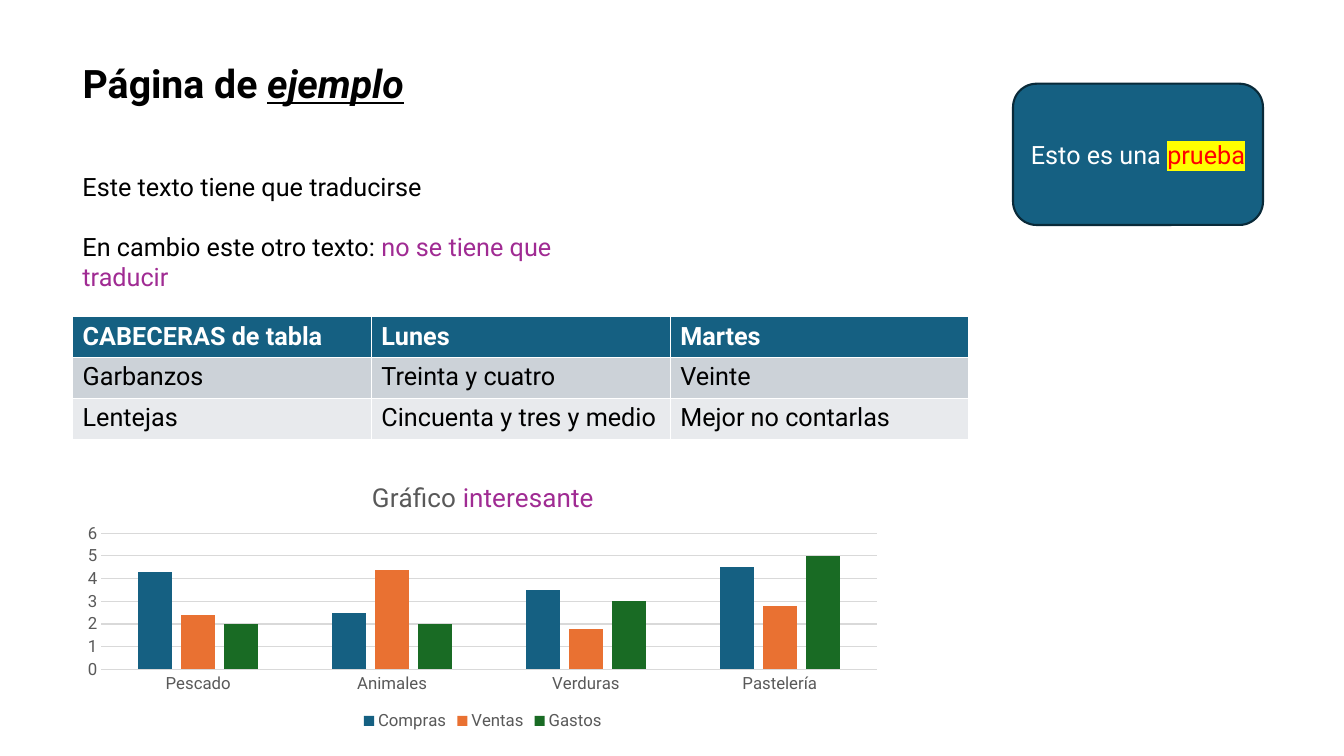
from lxml import etree
from pptx import Presentation
from pptx import util as u
from pptx.chart.data import CategoryChartData
from pptx.dml.color import RGBColor
from pptx.enum import chart as charts, shapes, text
from pptx.oxml import parse_xml
from pptx.oxml.ns import nsdecls, qn


def colour(value):
    return RGBColor.from_string(value)


class SlideBuilder:
    face = "Roboto"
    black, white, grey, rule = "000000", "FFFFFF", "595959", "D9D9D9"
    blue, orange, green, purple = "156082", "E97132", "196B24", "A02B93"

    def __init__(self, slide):
        self.slide = slide

    def font(self, font, size, hue, bold=False):
        font.name = self.face
        font.size = u.Pt(size)
        font.bold = bold
        font.color.rgb = colour(hue)

    def runs(self, paragraph, pieces, size, bold=False):
        for words, hue in pieces:
            run = paragraph.add_run()
            run.text = words
            self.font(run.font, size, hue, bold)
        return paragraph.runs

    def title(self, plain, stressed, left, top, width, height):
        title = self.slide.shapes.title
        title.left, title.top = u.Cm(left), u.Cm(top)
        title.width, title.height = u.Cm(width), u.Cm(height)
        frame = title.text_frame
        frame.word_wrap = False
        frame.auto_size = text.MSO_AUTO_SIZE.SHAPE_TO_FIT_TEXT
        frame.vertical_anchor = text.MSO_ANCHOR.TOP
        line = frame.paragraphs[0]
        line.alignment = text.PP_ALIGN.LEFT
        pieces = [(plain, self.black), (stressed, self.black)]
        emphasis = self.runs(line, pieces, 28, True)[-1]
        emphasis.font.italic = True
        emphasis.font.underline = True

    def body(self, lines, left, top, width, height, gap):
        box = self.slide.shapes.add_textbox(
            u.Cm(left), u.Cm(top), u.Cm(width), u.Cm(height))
        frame = box.text_frame
        frame.word_wrap = True
        for index, pieces in enumerate(lines):
            line = frame.add_paragraph() if index else frame.paragraphs[0]
            if index:
                line.space_before = u.Pt(gap)
            self.runs(line, pieces, 18)

    def badge(self, plain, marked, left, top, width, height):
        badge = self.slide.shapes.add_shape(
            shapes.MSO_SHAPE.ROUNDED_RECTANGLE,
            u.Cm(left), u.Cm(top), u.Cm(width), u.Cm(height))
        badge.shadow.inherit = False
        badge.fill.solid()
        badge.fill.fore_color.rgb = colour(self.blue)
        badge.line.color.rgb = colour("092A39")
        badge.line.width = u.Pt(1.5)
        frame = badge.text_frame
        frame.word_wrap = True
        frame.vertical_anchor = text.MSO_ANCHOR.MIDDLE
        line = frame.paragraphs[0]
        line.alignment = text.PP_ALIGN.CENTER
        pieces = [(plain, self.white), (marked, "FF0000")]
        marker = self.runs(line, pieces, 18)[-1]
        highlight = etree.Element(qn("a:highlight"))
        etree.SubElement(highlight, qn("a:srgbClr"), val="FFFF00")
        marker.font._element.find(qn("a:solidFill")).addnext(highlight)

    def table(self, rows, fills, left, top, column, row):
        count = len(rows[0])
        table = self.slide.shapes.add_table(
            len(rows), count, u.Cm(left), u.Cm(top),
            u.Cm(column * count), u.Cm(row * len(rows))).table
        for r, (words, fill) in enumerate(zip(rows, fills)):
            for c, word in enumerate(words):
                cell = table.cell(r, c)
                cell.fill.solid()
                cell.fill.fore_color.rgb = colour(fill)
                hue = self.black if r else self.white
                self.runs(cell.text_frame.paragraphs[0], [(word, hue)], 18, r == 0)

    def chart(self, heading, categories, series, left, top, width, height):
        data = CategoryChartData()
        data.categories = categories
        for name, values, _ in series:
            data.add_series(name, values)
        chart = self.slide.shapes.add_chart(
            charts.XL_CHART_TYPE.COLUMN_CLUSTERED, u.Cm(left), u.Cm(top),
            u.Cm(width), u.Cm(height), data).chart
        self.font(chart.font, 12, self.grey)
        chart.has_title = True
        self.runs(chart.chart_title.text_frame.paragraphs[0], heading, 18.6)
        chart.chart_title.include_in_layout = False
        chart.has_legend = True
        chart.legend.position = charts.XL_LEGEND_POSITION.BOTTOM
        chart.legend.include_in_layout = False
        self.font(chart.legend.font, 12, self.grey)

        plot = chart.plots[0]
        plot.gap_width, plot.overlap = 219, -27
        plot.vary_by_categories = False
        for bars, (_, _, hue) in zip(plot.series, series):
            bars.format.fill.solid()
            bars.format.fill.fore_color.rgb = colour(hue)

        amounts = chart.value_axis
        amounts.minimum_scale, amounts.maximum_scale, amounts.major_unit = 0, 6, 1
        amounts.format.line.fill.background()
        for axis in (chart.category_axis, amounts):
            axis.major_tick_mark = charts.XL_TICK_MARK.NONE
            axis.minor_tick_mark = charts.XL_TICK_MARK.NONE
            self.font(axis.tick_labels.font, 12, self.grey)
        for line in (chart.category_axis.format.line, amounts.major_gridlines.format.line):
            line.color.rgb = colour(self.rule)
            line.width = u.Pt(0.75)
        self.plot_area(chart, x=0.035, y=0.245, w=0.945, h=0.51)

    def plot_area(self, chart, **shares):
        area = chart._chartSpace.find(".//" + qn("c:plotArea"))
        for layout in area.findall(qn("c:layout")):
            area.remove(layout)
        modes = '<c:layoutTarget val="inner"/><c:xMode val="edge"/><c:yMode val="edge"/>'
        sizes = "".join(f'<c:{key} val="{share}"/>' for key, share in shares.items())
        area.insert(0, parse_xml(
            f'<c:layout {nsdecls("c")}><c:manualLayout>{modes}{sizes}'
            '</c:manualLayout></c:layout>'))


def main():
    deck = Presentation()
    deck.slide_width, deck.slide_height = u.Cm(33.87), u.Cm(19.05)
    page = SlideBuilder(deck.slides.add_slide(deck.slide_layouts[5]))
    margin = 1.83

    page.title("Página de ", "ejemplo", margin, 1.37, 8.81, 1.45)
    page.body([
        [("Este texto tiene que traducirse", page.black)],
        [("En cambio este otro texto: ", page.black),
         ("no se tiene que traducir", page.purple)],
    ], margin, 4.19, 14.3, 3.33, gap=21.5)
    page.badge("Esto es una ", "prueba", 25.53, 2.11, 6.3, 3.56)
    page.table([
        ["CABECERAS de tabla", "Lunes", "Martes"],
        ["Garbanzos", "Treinta y cuatro", "Veinte"],
        ["Lentejas", "Cincuenta y tres y medio", "Mejor no contarlas"],
    ], [page.blue, "CCD2D8", "E8EAED"], margin, 7.98, column=7.53, row=1.03)
    page.chart(
        [("Gráfico ", page.grey), ("interesante", page.purple)],
        ["Pescado", "Animales", "Verduras", "Pastelería"],
        [("Compras", (4.3, 2.5, 3.5, 4.5), page.blue),
         ("Ventas", (2.4, 4.4, 1.8, 2.8), page.orange),
         ("Gastos", (2, 2, 3, 5), page.green)],
        margin, 11.79, 20.68, 6.73)
    deck.save("out.pptx")


if __name__ == "__main__":
    main()
